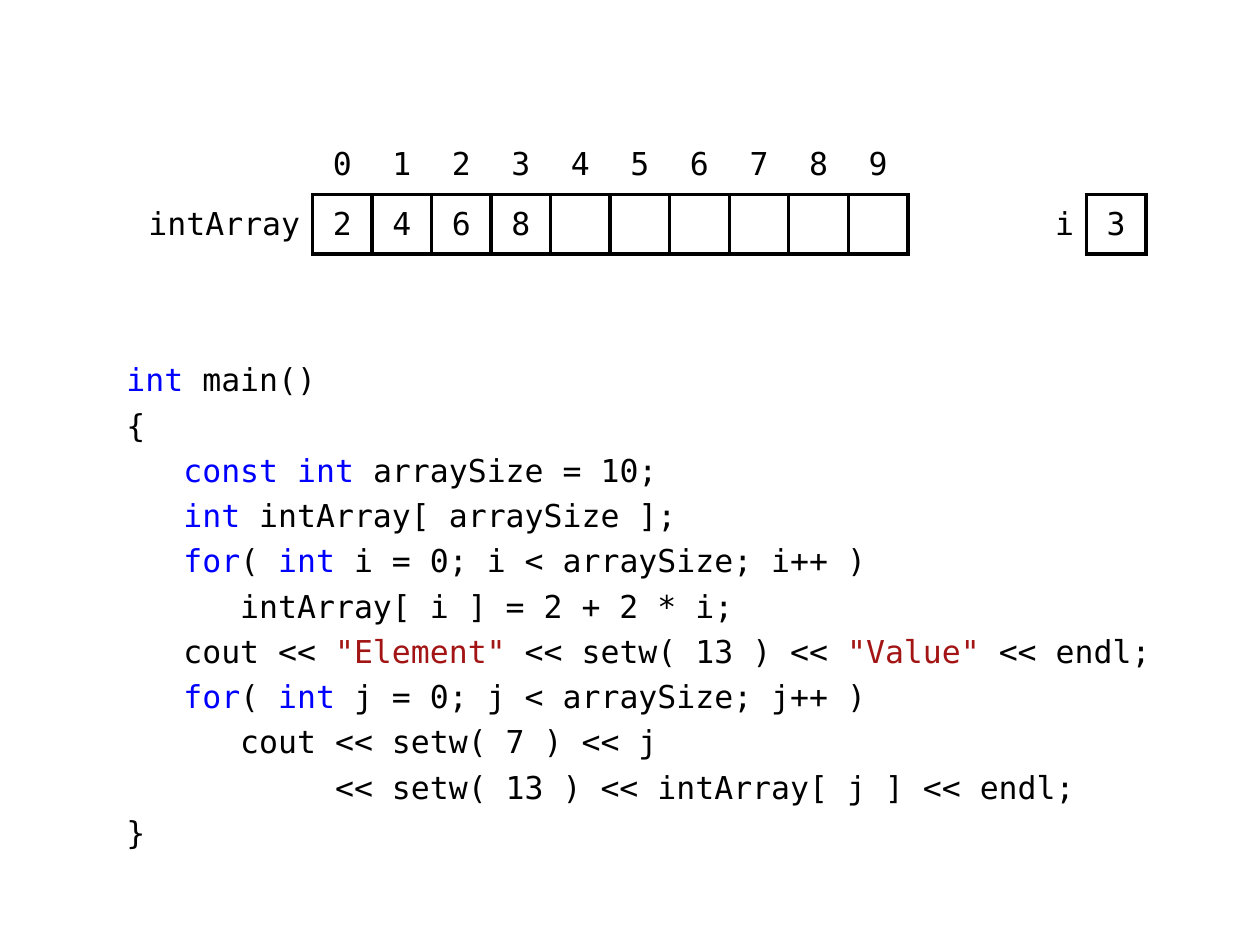
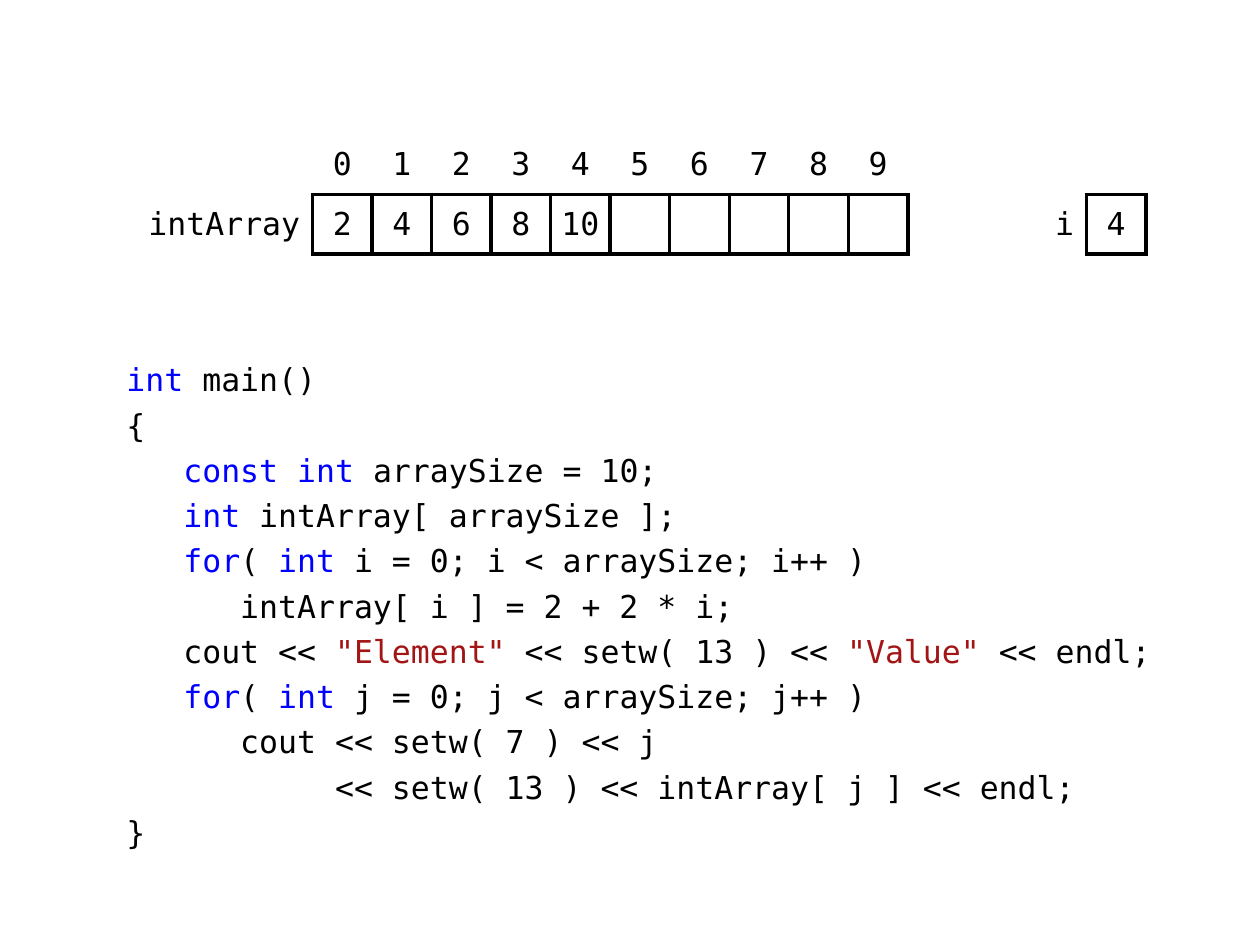
import itertools

import lxml.etree
import pptx
import pptx.dml.color
import pptx.enum.text
import pptx.oxml.ns
import pptx.util
from pptx.util import Cm

BLACK = pptx.dml.color.RGBColor(0x00, 0x00, 0x00)
KEYWORD_BLUE = pptx.dml.color.RGBColor(0x00, 0x00, 0xFF)
STRING_RED = pptx.dml.color.RGBColor(0xA3, 0x15, 0x15)

KEYWORDS = {"int", "const", "for"}
CODE = """int main()
{
   const int arraySize = 10;
   int intArray[ arraySize ];
   for( int i = 0; i < arraySize; i++ )
      intArray[ i ] = 2 + 2 * i;
   cout << "Element" << setw( 13 ) << "Value" << endl;
   for( int j = 0; j < arraySize; j++ )
      cout << setw( 7 ) << j
           << setw( 13 ) << intArray[ j ] << endl;
}"""

ARRAY_SIZE = 10
ARRAY_LABEL_COLUMN = 0
INDEX_LABEL_COLUMN = ARRAY_SIZE + 1
LABEL_COLUMNS = (ARRAY_LABEL_COLUMN, INDEX_LABEL_COLUMN)
CELL_SIZE = Cm(1.2)
COLUMN_WIDTHS = [Cm(4)] + [CELL_SIZE] * ARRAY_SIZE + [Cm(3.6), CELL_SIZE]


def color_tokens(line):
    """Yield (color, token) for each word, gap and quoted string of a code line."""
    for number, part in enumerate(line.split('"')):
        if number % 2:
            yield STRING_RED, f'"{part}"'
            continue
        for _, characters in itertools.groupby(part, str.isalnum):
            token = "".join(characters)
            yield (KEYWORD_BLUE if token in KEYWORDS else BLACK), token


def is_boxed(row, column):
    return row == 1 and 0 <= column < len(COLUMN_WIDTHS) and column not in LABEL_COLUMNS


class SlideBuilder:
    font_format = {"name": "DejaVu Sans Mono", "size": pptx.util.Pt(18)}
    cell_format = {
        "margin_left": Cm(0.2),
        "margin_right": Cm(0.2),
        "margin_top": Cm(0.1),
        "margin_bottom": Cm(0.1),
        "vertical_anchor": pptx.enum.text.MSO_ANCHOR.MIDDLE,
    }
    label_format = {**cell_format, "margin_left": Cm(0.25), "margin_right": Cm(0.25)}
    border_width = pptx.util.Pt(2.25)

    def __init__(self, presentation):
        self.presentation = presentation
        self.slide = None

    def add_slide(self):
        self.slide = self.presentation.slides.add_slide(self.presentation.slide_layouts[6])

    def apply(self, target, format_values):
        for name, value in format_values.items():
            setattr(target, name, value)

    def add_run(self, paragraph, text, color=BLACK):
        run = paragraph.add_run()
        run.text = text
        self.apply(run.font, self.font_format)
        run.font.color.rgb = color

    def add_code(self, code):
        text_frame = self.slide.shapes.add_textbox(Cm(2.3), Cm(7.14), Cm(21.2), Cm(10.4)).text_frame
        text_frame.word_wrap = True
        for number, line in enumerate(code.splitlines()):
            paragraph = text_frame.add_paragraph() if number else text_frame.paragraphs[0]
            paragraph.space_before = pptx.util.Pt(4.25 if number else 0)
            for color, tokens in itertools.groupby(color_tokens(line), lambda pair: pair[0]):
                self.add_run(paragraph, "".join(token for _, token in tokens), color)

    def add_border(self, cell, side, visible):
        properties = cell._tc.get_or_add_tcPr()
        line = lxml.etree.SubElement(properties, pptx.oxml.ns.qn(f"a:ln{side}"))
        if not visible:
            lxml.etree.SubElement(line, pptx.oxml.ns.qn("a:noFill"))
            return
        line.set("w", str(self.border_width))
        fill = lxml.etree.SubElement(line, pptx.oxml.ns.qn("a:solidFill"))
        lxml.etree.SubElement(fill, pptx.oxml.ns.qn("a:srgbClr"), val=str(BLACK))

    def fill_cell(self, cell, row, column, text):
        neighbours = {
            "L": (row, column - 1),
            "R": (row, column + 1),
            "T": (row - 1, column),
            "B": (row + 1, column),
        }
        for side, neighbour in neighbours.items():
            self.add_border(cell, side, is_boxed(row, column) or is_boxed(*neighbour))
        cell.fill.background()
        is_label = column in LABEL_COLUMNS
        self.apply(cell, self.label_format if is_label else self.cell_format)
        paragraph = cell.text_frame.paragraphs[0]
        alignment = pptx.enum.text.PP_ALIGN
        paragraph.alignment = alignment.RIGHT if is_label else alignment.CENTER
        if text:
            self.add_run(paragraph, text)

    def add_array(self, index):
        """Show the array once the loop has filled it up to index."""
        values = [str(2 + 2 * i) if i <= index else "" for i in range(ARRAY_SIZE)]
        texts = [
            ["", *map(str, range(ARRAY_SIZE)), "", ""],
            ["intArray", *values, "i", str(index)],
        ]
        table = self.slide.shapes.add_table(
            len(texts), len(COLUMN_WIDTHS), Cm(2.3), Cm(2.72), sum(COLUMN_WIDTHS), 2 * CELL_SIZE
        ).table
        self.apply(table, {"first_row": False, "horz_banding": False})
        for column, width in zip(table.columns, COLUMN_WIDTHS):
            column.width = width
        for row, row_texts in enumerate(texts):
            for column, text in enumerate(row_texts):
                self.fill_cell(table.cell(row, column), row, column, text)


def main():
    presentation = pptx.Presentation()
    presentation.slide_width = Cm(25.4)
    presentation.slide_height = Cm(19.05)
    builder = SlideBuilder(presentation)
    for index in (3, 4):
        builder.add_slide()
        builder.add_code(CODE)
        builder.add_array(index)
    presentation.save("out.pptx")


if __name__ == "__main__":
    main()
